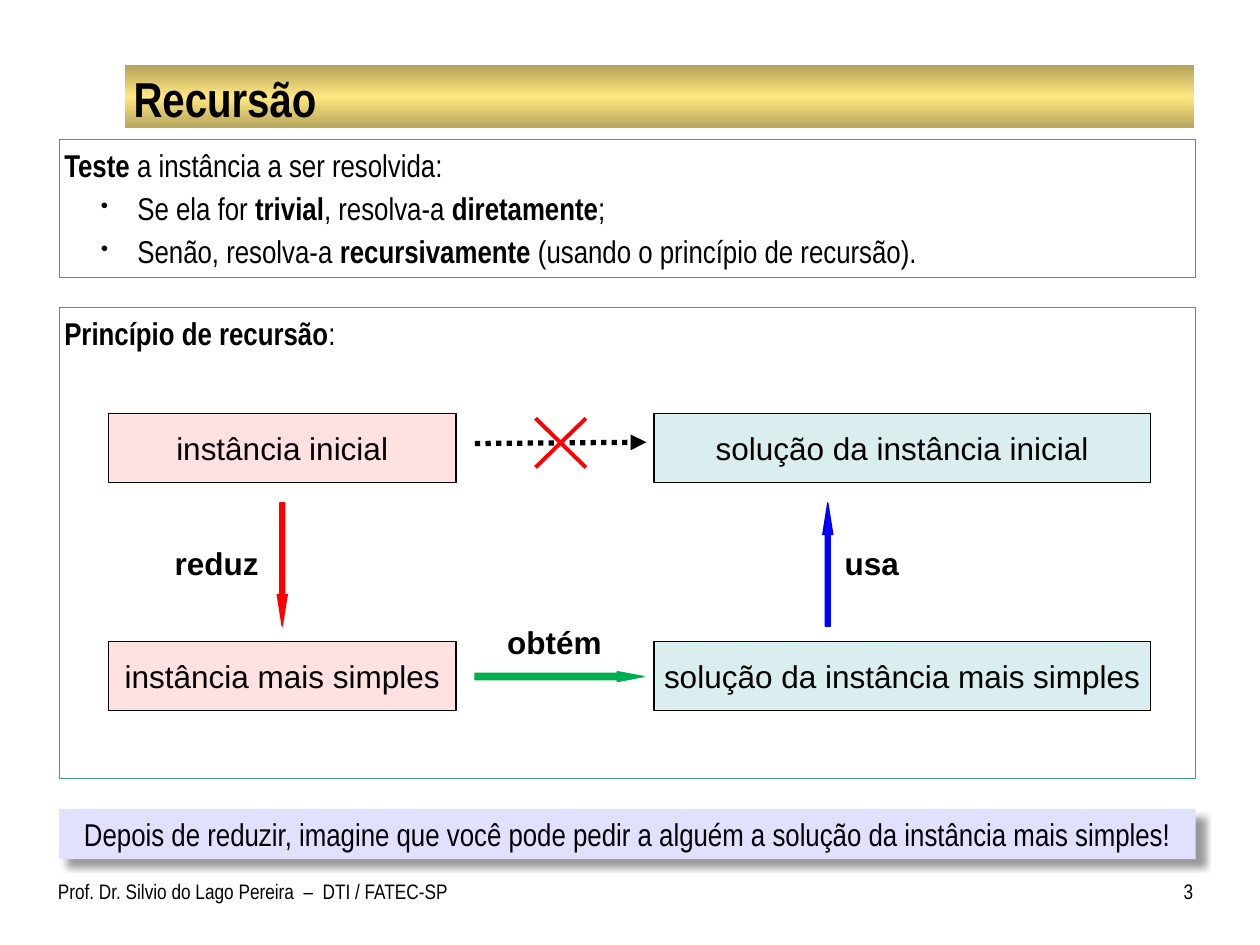
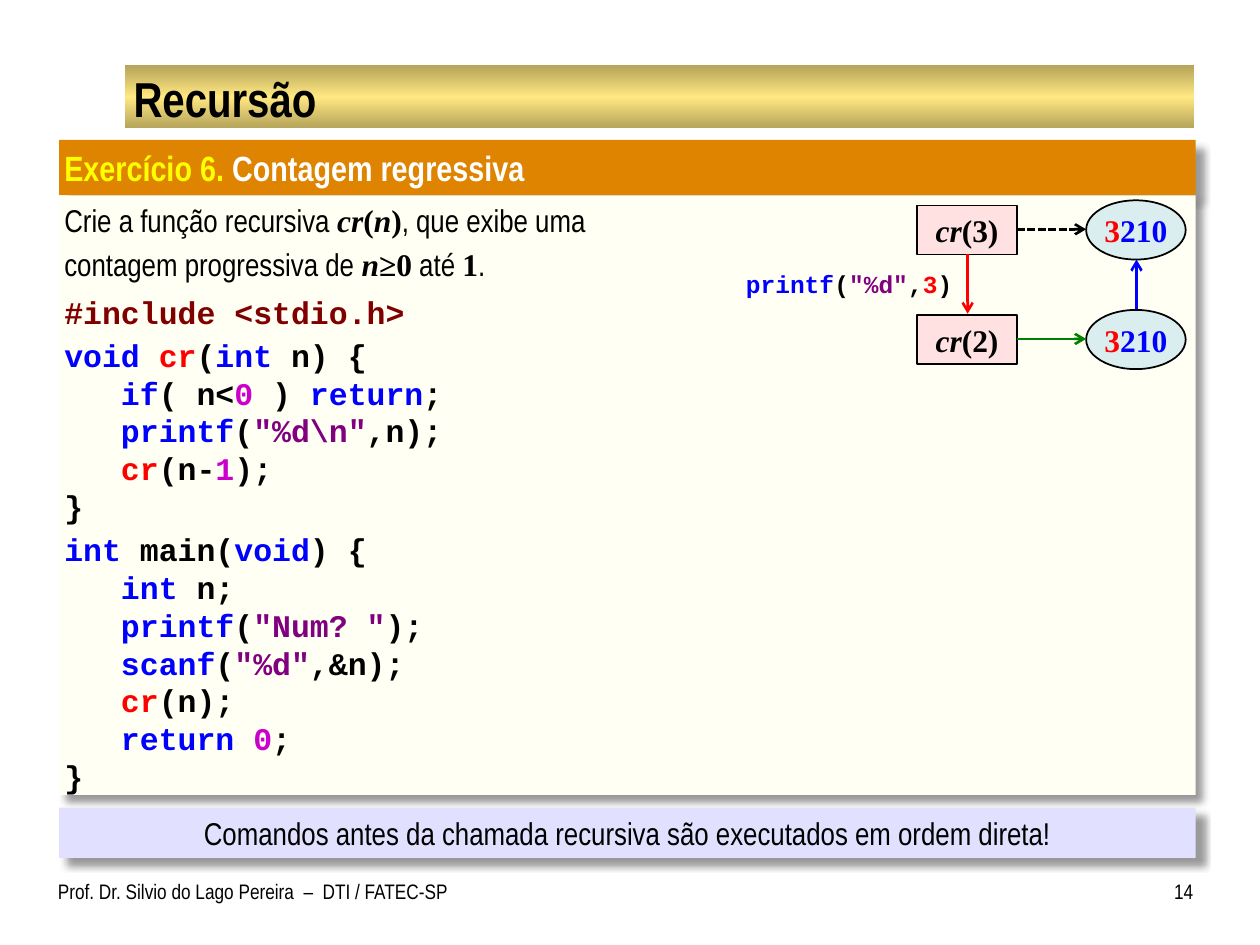
import pptx
import pptx.dml.color
import pptx.enum.dml
import pptx.enum.shapes
import pptx.enum.text
import pptx.oxml
import pptx.oxml.ns
import pptx.util
from dataclasses import dataclass

Inches = pptx.util.Inches
Pt = pptx.util.Pt
SHAPE = pptx.enum.shapes.MSO_SHAPE
ALIGN = pptx.enum.text.PP_ALIGN
ANCHOR = pptx.enum.text.MSO_ANCHOR
DASH = pptx.enum.dml.MSO_LINE
LEFT, WIDTH = 0.47, 9.02
PANEL = (0.04, 0.05)
PLAIN = (0.1, 0.05)


@dataclass(frozen=True)
class Theme:
    black: str = "000000"
    white: str = "FFFFFF"
    red: str = "FF0000"
    blue: str = "0000FF"
    green: str = "00B050"
    dark: str = "008000"
    teal: str = "4597A0"
    pink: str = "FFE1E1"
    aqua: str = "DAEDEF"
    lilac: str = "E1E1FF"
    cream: str = "FFFFF3"
    amber: str = "DE8400"
    gold: tuple = ("B5A45B", "FFE781", "B5A45B")
    title: int = 28
    head: int = 20
    body: int = 18
    small: int = 14
    foot: int = 12
    pitch: float = 21.6


# Run styles: font, colour, bold, italic
NARROW, SANS, SERIF, MONO = "Arial Narrow", "Arial", "Times New Roman", "Courier New"
STYLES = {
    "text": (NARROW, Theme.black, False, False),
    "bold": (NARROW, Theme.black, True, False),
    "lead": (NARROW, "FFFF00", True, False),
    "head": (NARROW, Theme.white, True, False),
    "box": (SANS, Theme.black, False, False),
    "verb": (SANS, Theme.black, True, False),
    "math": (SERIF, Theme.black, True, False),
    "var": (SERIF, Theme.black, True, True),
    "first": (SERIF, Theme.red, True, False),
    "rest": (SERIF, Theme.blue, True, False),
    "code": (MONO, Theme.black, True, False),
    "key": (MONO, Theme.blue, True, False),
    "name": (MONO, Theme.red, True, False),
    "num": (MONO, "CC00CC", True, False),
    "str": (MONO, "800080", True, False),
    "pre": (MONO, "800000", True, False),
}


@dataclass
class Para:
    runs: list
    before: float = 0
    indent: float = 0
    bullet: bool = False


def rgb(code):
    return pptx.dml.color.RGBColor.from_string(code)


def add_xml(parent, tag, **attrs):
    node = parent.makeelement(pptx.oxml.ns.qn(tag), attrs)
    parent.append(node)
    return node


class Deck:
    def __init__(self, theme):
        self.theme = theme
        self.prs = pptx.Presentation()
        self.prs.slide_width, self.prs.slide_height = Inches(10), Inches(7.5)
        self.layout = self.prs.slide_layouts[5]
        self.slide = None

    def page(self, title, number):
        """Start a slide with its title and footer."""
        first = self.slide is None
        self.slide = self.prs.slides.add_slide(self.layout)
        if first:
            self.band()
        head = self.slide.shapes.title
        head.left, head.top, head.width, head.height = map(Inches, (1, 0.54, 8.47, 0.47))
        self.set_text(head, [Para([(title, "bold")])], self.theme.title, inset=(0.06, 0.01))
        foot = "Prof. Dr. Silvio do Lago Pereira  –  DTI / FATEC-SP"
        for at, text, align in (((0.46, 6.92, 3.4, 0.42), foot, ALIGN.LEFT),
                                ((9.08, 6.92, 0.39, 0.42), str(number), ALIGN.RIGHT)):
            self.label(at, [(text, "text")], self.theme.foot, align, (0, 0.05), ANCHOR.TOP)

    def band(self):
        """Put the golden title band on the shared layout."""
        band = self.shape((0.99, 0.52, 8.49, 0.5))
        band.fill.gradient()
        band.fill.gradient_angle = 90
        stops = band._element.spPr.find(".//" + pptx.oxml.ns.qn("a:gsLst"))
        for stop in list(stops):
            stops.remove(stop)
        for i, colour in enumerate(self.theme.gold):
            stop = add_xml(stops, "a:gs", pos=str(i * 50000))
            add_xml(stop, "a:srgbClr", val=colour)
        self.layout.shapes._spTree.insert(2, band._element)

    def shape(self, at, kind=SHAPE.RECTANGLE, fill=None, line=None, weight=0.75, shadow=False):
        item = self.slide.shapes.add_shape(kind, *map(Inches, at))
        item.shadow.inherit = False
        if fill:
            item.fill.solid()
            item.fill.fore_color.rgb = rgb(fill)
        else:
            item.fill.background()
        if line:
            item.line.color.rgb = rgb(line)
            item.line.width = Pt(weight)
        else:
            item.line.fill.background()
        if shadow:
            effect = item._element.spPr.find(pptx.oxml.ns.qn("a:effectLst"))
            cast = add_xml(effect, "a:outerShdw", blurRad=str(Pt(4)), dist=str(Pt(6)),
                           dir=str(45 * 60000), algn="tl", rotWithShape="0")
            add_xml(add_xml(cast, "a:srgbClr", val=self.theme.black), "a:alpha", val="40000")
        return item

    def set_text(self, item, paras, size, align=ALIGN.LEFT, inset=PLAIN,
                 anchor=ANCHOR.MIDDLE, wrap=True, pitch=None):
        frame = item.text_frame
        frame.word_wrap, frame.vertical_anchor = wrap, anchor
        frame.auto_size = pptx.enum.text.MSO_AUTO_SIZE.NONE
        frame.margin_left = frame.margin_right = Inches(inset[0])
        frame.margin_top = frame.margin_bottom = Inches(inset[1])
        for i, para in enumerate(paras):
            line = frame.add_paragraph() if i else frame.paragraphs[0]
            line.alignment, line.space_before = align, Pt(para.before)
            if pitch:
                line.line_spacing = Pt(pitch)
            props = line._p.get_or_add_pPr()
            props.set("marL", str(Inches(para.indent)))
            props.set("indent", str(Inches(-0.29 if para.bullet else 0)))
            if para.bullet:
                add_xml(props, "a:buSzPct", val="69000")
                add_xml(props, "a:buChar", char="•")
            for text, style in para.runs:
                run = line.add_run()
                run.text = text
                run.font.size = Pt(size)
                run.font.name, colour, run.font.bold, run.font.italic = STYLES[style]
                run.font.color.rgb = rgb(colour)

    def label(self, at, runs, size, align=ALIGN.CENTER, inset=PLAIN, anchor=ANCHOR.MIDDLE):
        box = self.slide.shapes.add_textbox(*map(Inches, at))
        self.set_text(box, [Para(runs)], size, align, inset, anchor)

    def panel(self, top, height, paras, **look):
        """Full-width box with running text."""
        box = self.shape((LEFT, top, WIDTH, height), **look)
        self.set_text(box, paras, self.theme.body, inset=PANEL, anchor=ANCHOR.TOP,
                      pitch=self.theme.pitch)

    def bar(self, top, height, runs, size, fill, align):
        """Full-width strip with a shadow."""
        box = self.shape((LEFT, top, WIDTH, height), fill=fill, shadow=True)
        self.set_text(box, [Para(runs)], size, align, PANEL)

    def note(self, top, text):
        self.bar(top, 0.4, [(text, "text")], self.theme.body, self.theme.lilac, ALIGN.CENTER)

    def node(self, at, runs, fill, kind=SHAPE.RECTANGLE, weight=0.75):
        box = self.shape(at, kind, fill, self.theme.black, weight)
        self.set_text(box, [Para(runs)], self.theme.body, ALIGN.CENTER, (0, 0.04), wrap=False)

    def arrow(self, at, kind, colour, adjust):
        item = self.shape(at, kind, colour, colour)
        item.adjustments[0], item.adjustments[1] = adjust

    def line(self, start, end, colour, weight, dash=None, tip=None):
        item = self.slide.shapes.add_connector(
            pptx.enum.shapes.MSO_CONNECTOR.STRAIGHT, *map(Inches, (*start, *end)))
        item.line.color.rgb = rgb(colour)
        item.line.width = Pt(weight)
        if dash:
            item.line.dash_style = dash
        if tip:
            add_xml(item.line._get_or_add_ln(), "a:tailEnd", type=tip)
        add_xml(item._element.spPr, "a:effectLst")


def scheme(deck):
    """Slide on the principle of recursion."""
    t = deck.theme
    deck.page("Recursão", 3)
    deck.panel(1.11, 1.09, [
        Para([("Teste", "bold"), (" a instância a ser resolvida:", "text")]),
        Para([("Se ela for ", "text"), ("trivial", "bold"), (", resolva-a ", "text"),
              ("diretamente", "bold"), (";", "text")], 3, 0.58, True),
        Para([("Senão, resolva-a ", "text"), ("recursivamente", "bold"),
              (" (usando o princípio de recursão).", "text")], 3, 0.58, True),
    ], line=t.teal)
    deck.panel(2.44, 3.74, [Para([("Princípio de recursão", "bold"), (":", "text")])],
               line=t.teal)

    # Two by two boxes
    for left, width, fill, lead in ((0.86, 2.76, t.pink, ""),
                                    (5.19, 3.94, t.aqua, "solução da ")):
        for top, rank in ((3.28, "inicial"), (5.09, "mais simples")):
            deck.node((left, top, width, 0.55), [(f"{lead}instância {rank}", "box")], fill)

    # Arrows and their verbs
    deck.arrow((2.2, 3.99, 0.08, 0.98), SHAPE.DOWN_ARROW, t.red, (0.5, 3.15))
    deck.arrow((6.53, 3.99, 0.08, 0.98), SHAPE.UP_ARROW, t.blue, (0.5, 3.15))
    deck.arrow((3.77, 5.33, 1.34, 0.08), SHAPE.RIGHT_ARROW, t.green, (0.65, 2.65))
    for left, top, verb in ((1.17, 4.23, "reduz"), (6.37, 4.23, "usa"), (3.85, 4.86, "obtém")):
        deck.label((left, top, 1.1, 0.47), [(verb, "verb")], t.body)

    # Crossed-out direct way
    deck.line((3.77, 3.52), (5.13, 3.51), t.black, 3, DASH.ROUND_DOT, "triangle")
    for start, end in ((4.25, 4.65), (4.65, 4.25)):
        deck.line((start, 3.32), (end, 3.71), t.red, 2.25)
    deck.note(6.42, "Depois de reduzir, imagine que você pode pedir a alguém a solução "
                    "da instância mais simples!")


def count(deck):
    """Slide with the countdown exercise."""
    t = deck.theme
    deck.page("Recursão", 14)
    deck.bar(1.11, 0.44, [("Exercício 6.", "lead"), (" Contagem regressiva", "head")],
             t.head, t.amber, ALIGN.LEFT)
    step = 0.45  # three characters of code
    deck.panel(1.55, 4.76, [
        Para([("Crie a função recursiva ", "text"), ("cr", "var"), ("(", "math"),
              ("n", "var"), (")", "math"), (", que exibe uma", "text")]),
        Para([("contagem progressiva de ", "text"), ("n", "var"), ("≥0", "math"),
              (" até ", "text"), ("1", "math"), (".", "text")], 3),
        Para([("#include <stdio.h>", "pre")], 6),
        Para([("void ", "key"), ("cr", "name"), ("(", "code"), ("int", "key"),
              (" n) {", "code")], 3),
        Para([("if", "key"), ("( n<", "code"), ("0", "num"), (" ) ", "code"),
              ("return", "key"), (";", "code")], 0, step),
        Para([("printf", "key"), ("(", "code"), (r'"%d\n"', "str"), (",n);", "code")], 0, step),
        Para([("cr", "name"), ("(n-", "code"), ("1", "num"), (");", "code")], 0, step),
        Para([("}", "code")]),
        Para([("int ", "key"), ("main(", "code"), ("void", "key"), (") {", "code")], 3),
        Para([("int ", "key"), ("n;", "code")], 0, step),
        Para([("printf", "key"), ("(", "code"), ('"Num? "', "str"), (");", "code")], 0, step),
        Para([("scanf", "key"), ("(", "code"), ('"%d"', "str"), (",&n);", "code")], 0, step),
        Para([("cr", "name"), ("(n);", "code")], 0, step),
        Para([("return ", "key"), ("0", "num"), (";", "code")], 0, step),
        Para([("}", "code")]),
    ], fill=t.cream, shadow=True)
    deck.note(6.41, "Comandos antes da chamada recursiva são executados em ordem direta!")

    # Call on the left, output on the right
    for row, (arg, colour, dash) in enumerate(((3, t.black, DASH.SQUARE_DOT),
                                               (2, t.dark, None))):
        mid = 1.82 + row * 0.87
        deck.node((7.28, mid - 0.19, 0.79, 0.39), [("cr", "var"), (f"({arg})", "math")],
                  t.pink, weight=1)
        deck.node((8.62, mid - 0.23, 0.79, 0.47), [("3", "first"), ("210", "rest")],
                  t.aqua, SHAPE.OVAL, 1)
        deck.line((8.07, mid), (8.62, mid), colour, 1.5, dash, "arrow")
    deck.line((7.68, 2.02), (7.68, 2.49), t.red, 1.5, tip="arrow")
    deck.line((9.02, 2.45), (9.02, 2.06), t.blue, 1.5, tip="arrow")
    deck.label((5.92, 2.06, 1.65, 0.39),
               [("printf", "key"), ("(", "code"), ('"%d"', "str"), (",", "code"),
                ("3", "name"), (")", "code")], t.small, ALIGN.LEFT, (0, 0.04))


def main():
    deck = Deck(Theme())
    scheme(deck)
    count(deck)
    deck.prs.save("out.pptx")


if __name__ == "__main__":
    main()
